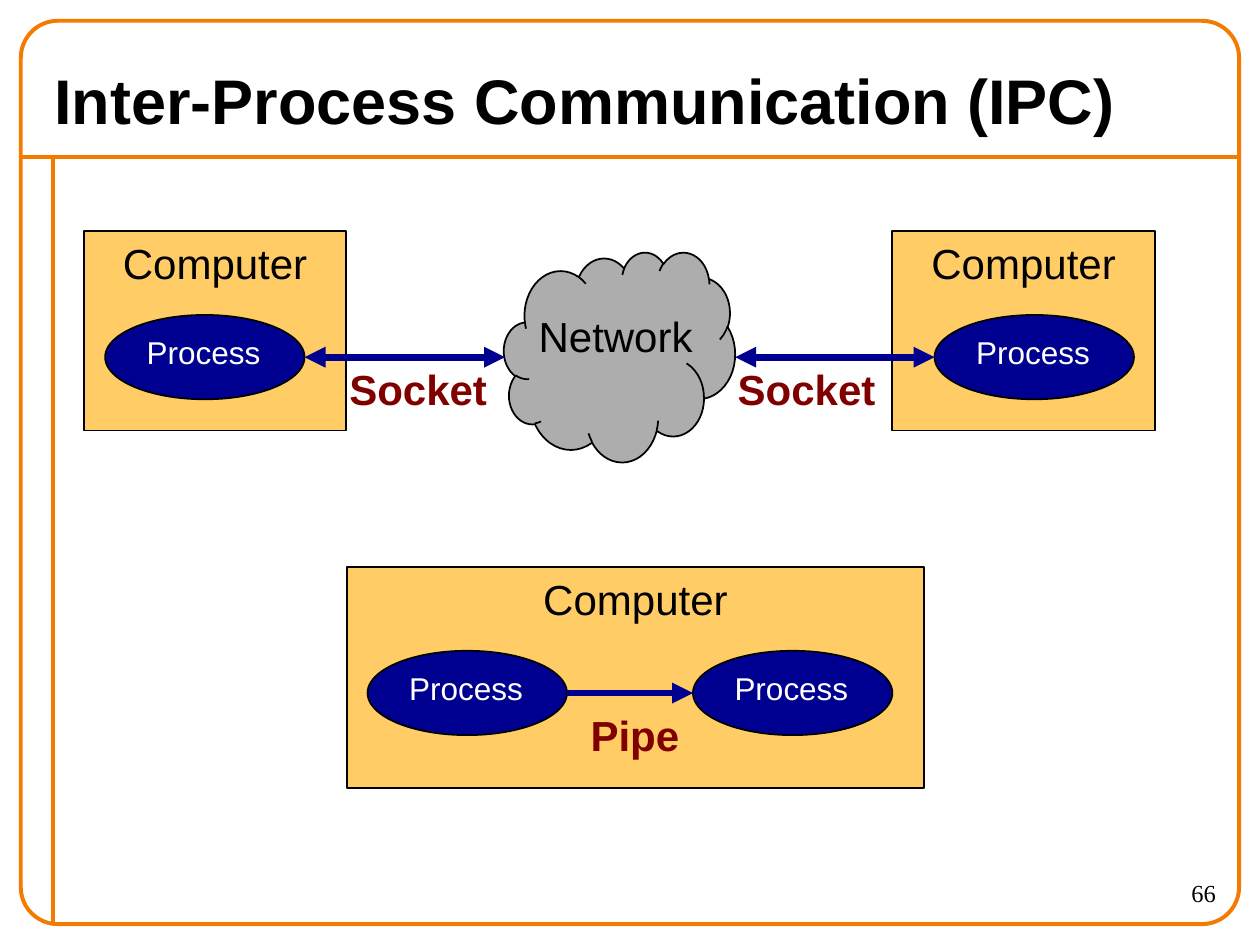
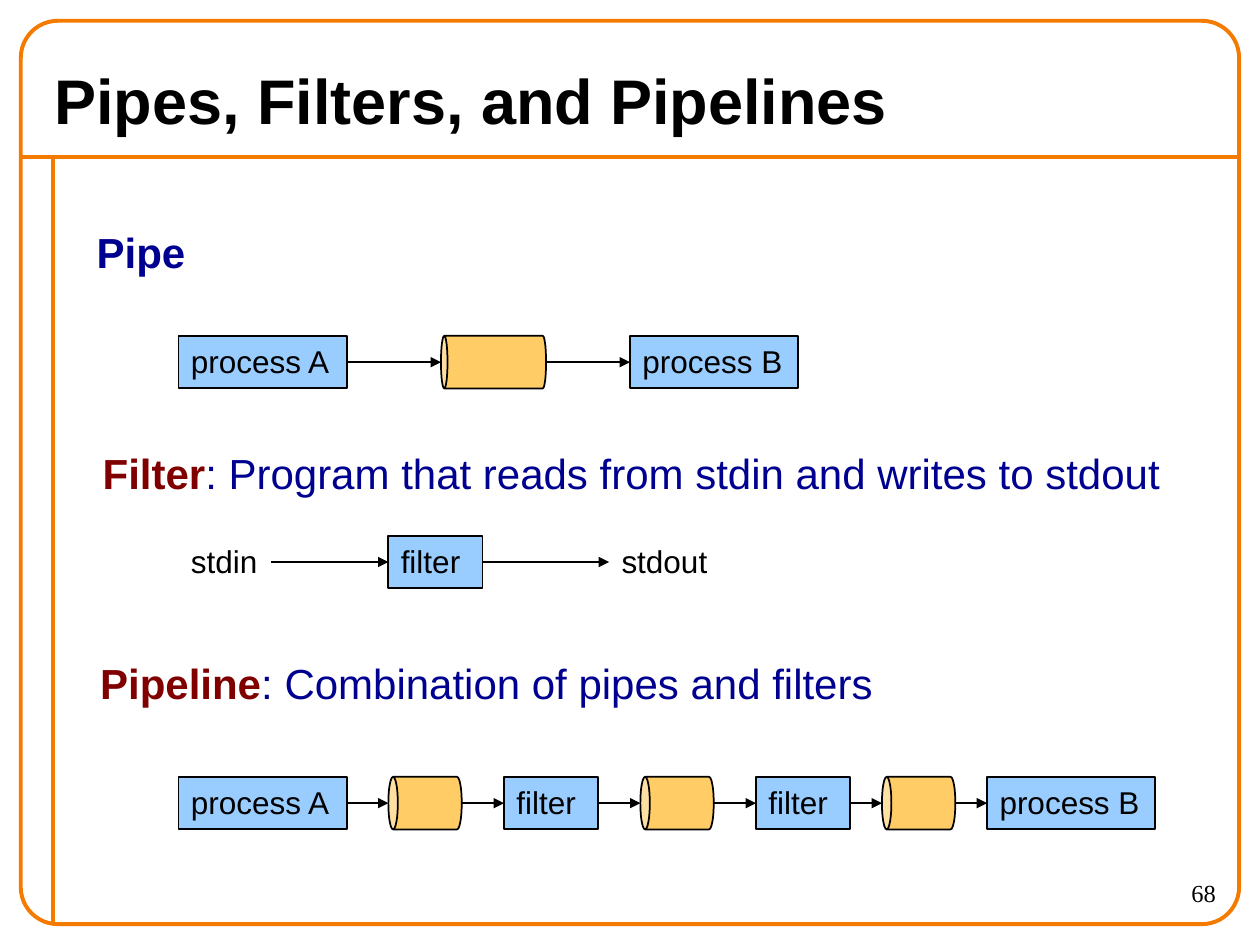
from lxml import etree
from pptx import Presentation
from pptx.dml.color import RGBColor
from pptx.enum.shapes import MSO_CONNECTOR, MSO_SHAPE
from pptx.enum.text import MSO_ANCHOR, MSO_AUTO_SIZE, PP_ALIGN
from pptx.oxml.ns import qn
from pptx.util import Cm, Pt

RECT, ELLIPSE, CAN = MSO_SHAPE.RECTANGLE, MSO_SHAPE.OVAL, MSO_SHAPE.CAN
CLOUD, ROUNDED = MSO_SHAPE.CLOUD, MSO_SHAPE.ROUNDED_RECTANGLE
STRAIGHT = MSO_CONNECTOR.STRAIGHT
LEFT, CENTER, RIGHT = PP_ALIGN.LEFT, PP_ALIGN.CENTER, PP_ALIGN.RIGHT
MIDDLE, TOP = MSO_ANCHOR.MIDDLE, MSO_ANCHOR.TOP
FIT = MSO_AUTO_SIZE.SHAPE_TO_FIT_TEXT

BLACK = RGBColor(0x00, 0x00, 0x00)
WHITE = RGBColor(0xFF, 0xFF, 0xFF)
ORANGE = RGBColor(0xF4, 0x7A, 0x00)
SAND = RGBColor(0xFF, 0xCC, 0x66)
SKY = RGBColor(0x99, 0xCC, 0xFF)
NAVY = RGBColor(0x00, 0x00, 0x90)
MAROON = RGBColor(0x80, 0x00, 0x00)
GRAY = RGBColor(0xAD, 0xAD, 0xAD)

TITLE = {"name": "Arial", "size": Pt(36), "bold": True}
LARGE = {"name": "Arial", "size": Pt(24), "bold": False}
STRONG = {**LARGE, "bold": True}
SMALL = {"name": "Arial", "size": Pt(18)}
NUMBER = {"name": "Times New Roman", "size": Pt(14)}


def add_box(s, kind, x, y, w, h, runs=(), fill=None, line=BLACK, width=1,
            align=LEFT, anchor=TOP, wrap=True):
    """Add a shape, or a text box if kind is None; runs are (text, format, colour)."""
    place = Cm(x), Cm(y), Cm(w), Cm(h)
    if kind is None:
        sp = s.shapes.add_textbox(*place)
    else:
        sp = s.shapes.add_shape(kind, *place)
        sp.shadow.inherit = False
        sp.line.color.rgb = line
        sp.line.width = Pt(width)
        if fill is None:
            sp.fill.background()
        else:
            sp.fill.solid()
            sp.fill.fore_color.rgb = fill
    tf = sp.text_frame
    tf.word_wrap = wrap
    tf.vertical_anchor = anchor
    if not wrap:
        tf.auto_size = FIT
    p = tf.paragraphs[0]
    p.alignment = align
    for text, fmt, color in runs:
        r = p.add_run()
        r.text = text
        for key, value in fmt.items():
            setattr(r.font, key, value)
        r.font.color.rgb = color
    return sp


def add_line(s, x1, y1, x2, y2, color=BLACK, width=1, ends=("tailEnd",)):
    c = s.shapes.add_connector(STRAIGHT, Cm(x1), Cm(y1), Cm(x2), Cm(y2))
    c.line.color.rgb = color
    c.line.width = Pt(width)
    ln = c.line._get_or_add_ln()
    for end in ends:
        etree.SubElement(ln, qn("a:" + end), type="triangle")
    etree.SubElement(c._element.spPr, qn("a:effectLst"))


prs = Presentation()
prs.slide_width, prs.slide_height = Cm(25.4), Cm(19.05)

# Frame, title and page number of both slides
slides = []
for title, number in (("Inter-Process Communication (IPC)", "66"),
                      ("Pipes, Filters, and Pipelines", "68")):
    s = prs.slides.add_slide(prs.slide_layouts[6])
    add_line(s, 0.42, 3.17, 24.98, 3.17, ORANGE, 2.25, ends=())
    add_line(s, 1.06, 3.17, 1.06, 18.63, ORANGE, 2.25, ends=())
    frame = add_box(s, ROUNDED, 0.42, 0.42, 24.56, 18.21, line=ORANGE, width=2.25)
    frame.adjustments[0] = 0.041
    add_box(s, None, 0.85, 1.06, 23.71, 1.9, [(title, TITLE, BLACK)], anchor=MIDDLE)
    add_box(s, None, 22.22, 17.57, 2.54, 1.06, [(number, NUMBER, BLACK)], align=RIGHT)
    slides.append(s)
ipc, pipes = slides

# Slide 1: sockets across a network, a pipe inside one computer
add_box(ipc, CLOUD, 10.16, 5.08, 4.66, 4.23, fill=GRAY)
for x, y, w, h in ((1.69, 4.66, 5.29, 4.02), (17.99, 4.66, 5.29, 4.02),
                   (6.99, 11.43, 11.64, 4.45)):
    add_box(ipc, RECT, x, y, w, h, [("Computer", LARGE, BLACK)], SAND, align=CENTER)
for x, y in ((2.12, 6.35), (18.84, 6.35), (7.41, 13.12), (13.97, 13.12)):
    add_box(ipc, ELLIPSE, x, y, 4.02, 1.7, [("Process", SMALL, WHITE)], NAVY)
for x1, x2 in ((6.14, 10.18), (14.82, 18.84)):
    add_line(ipc, x1, 7.2, x2, 7.2, NAVY, 4, ends=("headEnd", "tailEnd"))
add_line(ipc, 11.43, 13.97, 13.97, 13.97, NAVY, 4)
for text, fmt, color, x, y, w in (("Network", LARGE, BLACK, 10.41, 6.14, 4),
                                  ("Socket", STRONG, MAROON, 6.73, 7.2, 3.4),
                                  ("Socket", STRONG, MAROON, 14.56, 7.2, 3.4),
                                  ("Pipe", STRONG, MAROON, 11.5, 14.18, 2.6)):
    add_box(ipc, None, x, y, w, 1.27, [(text, fmt, color)], align=CENTER, wrap=False)

# Slide 2: headings
for x, y, w, runs in (
        (1.7, 4.45, 2.6, [("Pipe", STRONG, NAVY)]),
        (1.82, 8.89, 21.82, [
            ("Filter", STRONG, MAROON),
            (": Program that reads from stdin and writes to stdout", LARGE, NAVY)]),
        (1.77, 13.13, 16.08, [
            ("Pipeline", STRONG, MAROON),
            (": Combination of pipes and filters", LARGE, NAVY)])):
    add_box(pipes, None, x, y, w, 1.27, runs)

# Slide 2: each row holds (kind, label, left, width), joined by arrows
ROW_H = 1.06
rows = (
    (6.77, ((RECT, "process A", 3.6, 3.39), (CAN, "", 8.89, 2.12),
            (RECT, "process B", 12.7, 3.39))),
    (10.8, ((None, "stdin", 3.6, 1.86), (RECT, "filter", 7.83, 1.9),
            (None, "stdout", 12.28, 2.24))),
    (15.66, ((RECT, "process A", 3.6, 3.39), (CAN, "", 7.83, 1.48),
             (RECT, "filter", 10.16, 1.9), (CAN, "", 12.91, 1.48),
             (RECT, "filter", 15.24, 1.9), (CAN, "", 17.78, 1.48),
             (RECT, "process B", 19.9, 3.39))),
)
for y, steps in rows:
    for kind, label, x, w in steps:
        if kind == CAN:
            shift = (w - ROW_H) / 2
            can = add_box(pipes, CAN, x + shift, y - shift, ROW_H, w, fill=SAND)
            can.rotation = 270
            can.adjustments[0] = 0.125 if w > 2 else 0.18
        else:
            add_box(pipes, kind, x, y, w, ROW_H, [(label, SMALL, BLACK)], SKY,
                    wrap=kind is not None)
    mid = y + ROW_H / 2
    for (_, _, x, w), (_, _, x_next, _) in zip(steps, steps[1:]):
        add_line(pipes, x + w, mid, x_next, mid)

prs.save("out.pptx")
